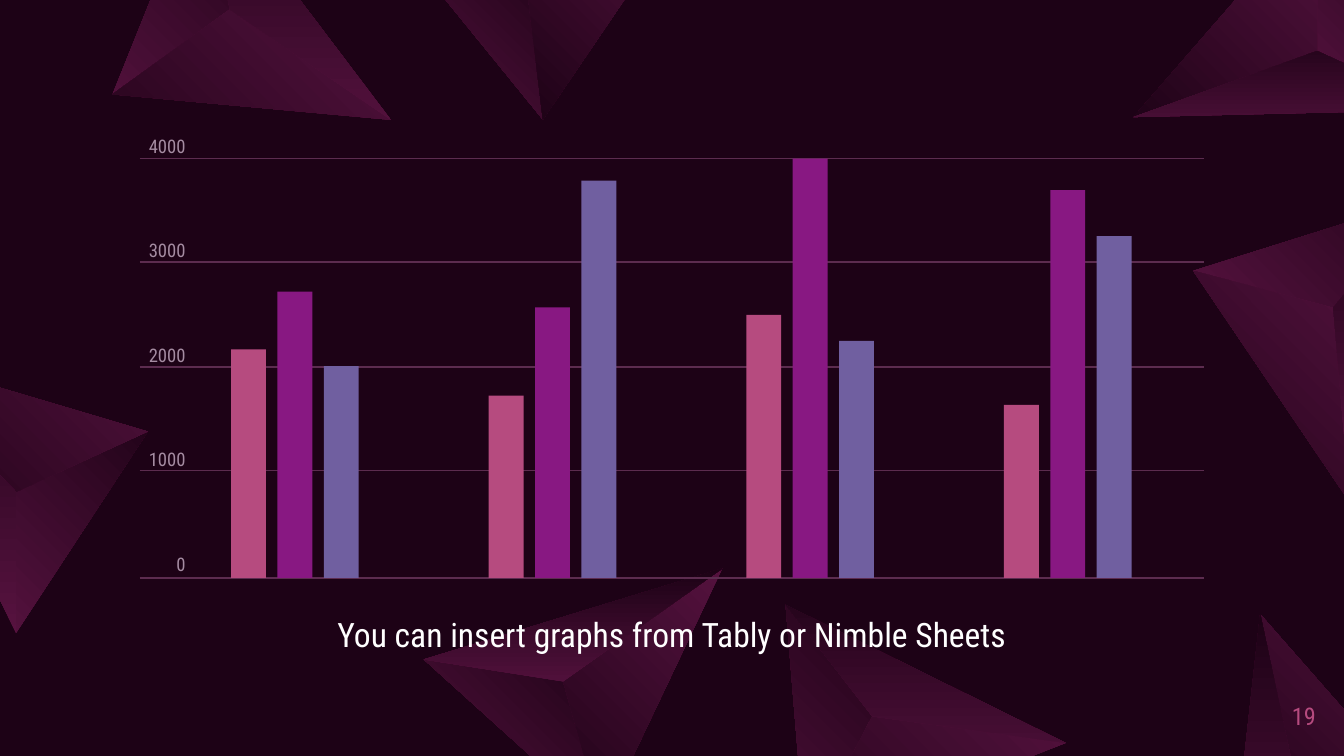
from math import cos, radians, sin

from pptx import Presentation
from pptx.dml.color import RGBColor
from pptx.enum.shapes import MSO_CONNECTOR as Connector, MSO_SHAPE as Shape
from pptx.enum.text import MSO_ANCHOR as Anchor, PP_ALIGN as Align
from pptx.oxml.ns import qn
from pptx.util import Inches, Pt
from lxml.etree import SubElement

NIGHT = RGBColor(0x1D, 0x02, 0x16)
PLUM = RGBColor(0x59, 0x13, 0x41)
GRID = RGBColor(0x5C, 0x2C, 0x4F)
MAUVE = RGBColor(0xA5, 0x8C, 0xA2)
WHITE = RGBColor(0xFF, 0xFF, 0xFF)
ROSE = RGBColor(0xB6, 0x4B, 0x7F)
PURPLE = RGBColor(0x88, 0x18, 0x82)
LAVENDER = RGBColor(0x70, 0x5F, 0xA0)

# Pyramid corners relative to its apex, at rotation 0.
APEX, WEST, SOUTH, EAST = (0, 0), (-1, -0.32), (0.13, 1.07), (1.3, -0.65)
# Facet name: corners and clockwise gradient angle on the page.
FACETS = {
    "left": ((WEST, SOUTH, APEX), 315),
    "right": ((SOUTH, EAST, APEX), 135),
    "top": ((WEST, APEX, EAST), 270),
}
# Apex x, apex y, rotation, visible facets.
PYRAMIDS = [
    (9.68, 5.99, 284.5, ("right", "top")),
    (3.91, -0.18, 0, ("left", "right")),
    (9.8, 0.38, 186.8, FACETS),
    (9.92, 2.29, 111.7, FACETS),
    (4.19, 5.07, 351.2, FACETS),
    (0.12, 3.66, 252.3, FACETS),
    (1.71, 0.07, 61, FACETS),
    (6.49, 5.33, 34.4, FACETS),
]

SERIES = [
    (ROSE, (2180, 1740, 2510, 1650)),
    (PURPLE, (2730, 2580, 4000, 3700)),
    (LAVENDER, (2020, 3790, 2260, 3260)),
]
GRID_LEFT, GRID_RIGHT = 1.04, 8.96
GRID_TOPS = (1.18, 1.95, 2.73, 3.5, 4.3)
BASELINE, SCALE = 4.3, 3.12 / 4000
BAR_LEFT, BAR_WIDTH, BAR_STEP, GROUP_STEP = 1.72, 0.26, 0.69 / 2, 5.75 / 3


def format_paragraph(para, text, size, color, font, align, before=0, after=0):
    para.alignment = align
    para.space_before, para.space_after = Pt(before), Pt(after)
    span = para.add_run()
    span.text = text
    span.font.name, span.font.size = font, Pt(size)
    span.font.color.rgb = color


class Painter:
    def __init__(self, page, font):
        self.page = page
        self.shapes = page.shapes
        self.font = font

    def background(self, color):
        self.page.background.fill.solid()
        self.page.background.fill.fore_color.rgb = color

    def facet(self, apex_x, apex_y, rotation, corners, angle):
        """Draw one triangle turned about the apex; its gradient stays unturned."""
        xs, ys = zip(*corners)
        mid_x, mid_y = (min(xs) + max(xs)) / 2, (min(ys) + max(ys)) / 2
        turn = radians(rotation)
        shift_x = apex_x + mid_x * cos(turn) - mid_y * sin(turn) - mid_x
        shift_y = apex_y + mid_x * sin(turn) + mid_y * cos(turn) - mid_y
        points = [(Inches(x + shift_x), Inches(y + shift_y)) for x, y in corners]
        builder = self.shapes.build_freeform(*points[0])
        builder.add_line_segments(points[1:], close=True)
        shape = builder.convert_to_shape()
        shape.rotation = rotation
        shape.shadow.inherit = False
        shape.line.fill.background()
        shape.fill.gradient()
        shape.fill.gradient_angle = (rotation - angle) % 360
        for stop, color in zip(shape.fill.gradient_stops, (PLUM, NIGHT)):
            stop.color.rgb = color

    def text(self, left, top, width, height, lines, anchor=Anchor.TOP, **style):
        """Write lines, each a (text, extra format) pair."""
        box = self.shapes.add_textbox(*map(Inches, (left, top, width, height)))
        frame = box.text_frame
        frame.word_wrap = True
        frame.vertical_anchor = anchor
        frame.margin_left = frame.margin_right = 0
        frame.margin_top = frame.margin_bottom = 0
        for index, (text, extra) in enumerate(lines):
            para = frame.add_paragraph() if index else frame.paragraphs[0]
            format_paragraph(para, text, font=self.font, **style, **extra)

    def grid_line(self, top):
        ends = map(Inches, (GRID_LEFT, top, GRID_RIGHT, top))
        line = self.shapes.add_connector(Connector.STRAIGHT, *ends)
        line.line.color.rgb = GRID
        line.line.width = Pt(0.75)
        SubElement(line.element.spPr, qn("a:effectLst"))

    def bar(self, left, value, color):
        height = value * SCALE
        place = map(Inches, (left, BASELINE - height, BAR_WIDTH, height))
        shape = self.shapes.add_shape(Shape.RECTANGLE, *place)
        shape.shadow.inherit = False
        shape.fill.solid()
        shape.fill.fore_color.rgb = color
        shape.line.fill.background()


def main():
    deck = Presentation()
    deck.slide_width = Inches(10)
    deck.slide_height = deck.slide_width * 9 // 16
    page = deck.slides.add_slide(deck.slide_layouts[6])
    painter = Painter(page, "Roboto Condensed")
    painter.background(NIGHT)

    for x, y, rotation, names in PYRAMIDS:
        for name in names:
            painter.facet(x, y, rotation, *FACETS[name])

    caption = "You can insert graphs from Tably or Nimble Sheets"
    painter.text(0.5, 4.57, 9, 0.57, [(caption, {"before": 3.6, "after": 6})],
                 size=18, color=WHITE, align=Align.CENTER)
    painter.text(9.35, 5.11, 0.44, 0.43, [("19", {})], anchor=Anchor.MIDDLE,
                 size=13, color=ROSE, align=Align.RIGHT)

    for top in GRID_TOPS:
        painter.grid_line(top)
    labels = [(str(value), {"before": 44 if value < 4000 else 0,
                            "after": 0 if value else 44})
              for value in range(4000, -1, -1000)]
    painter.text(GRID_LEFT, 1, 0.34, 3.31, labels,
                 size=10, color=MAUVE, align=Align.RIGHT)

    for group in range(4):
        for index, (color, values) in enumerate(SERIES):
            left = BAR_LEFT + group * GROUP_STEP + index * BAR_STEP
            painter.bar(left, values[group], color)

    deck.save("out.pptx")


if __name__ == "__main__":
    main()
